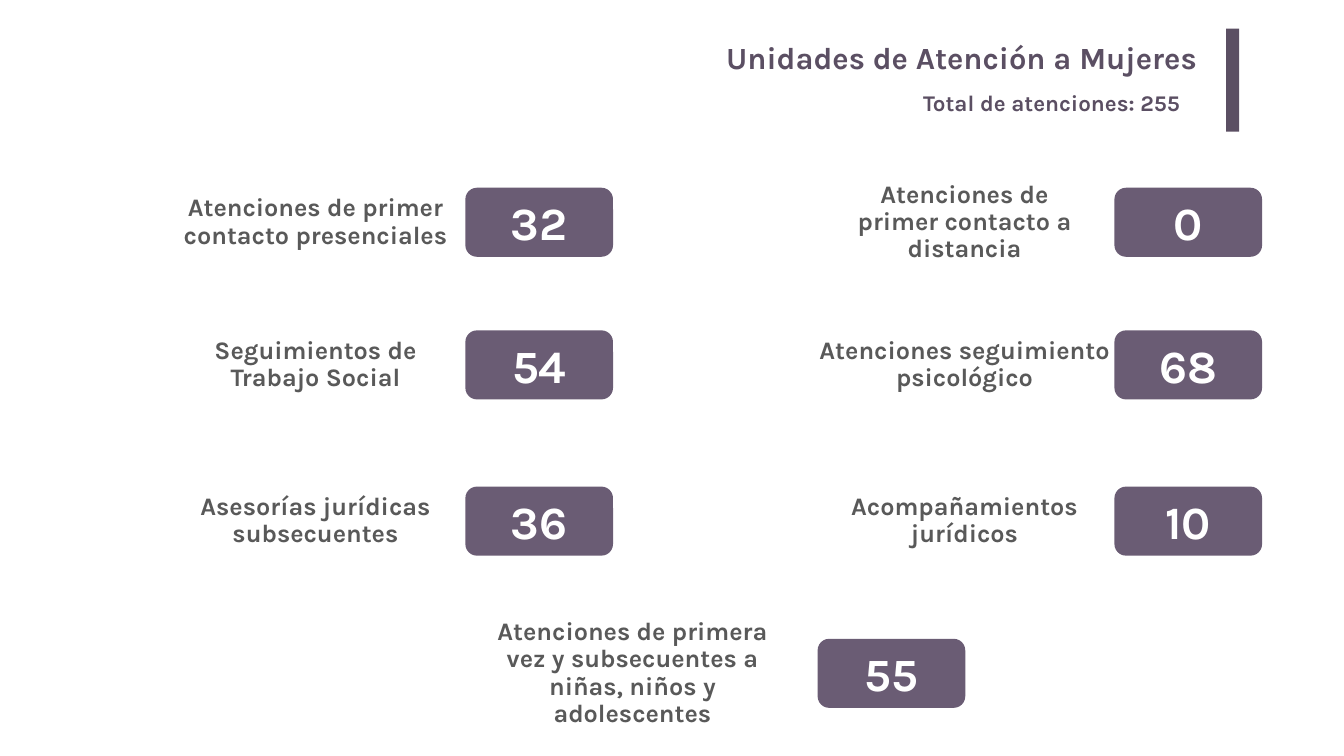
from pptx import Presentation
from pptx import util as u
from pptx.dml.color import RGBColor
from pptx.enum import shapes, text

FONT = "Karla"
PLUM, MAUVE, GRAY, WHITE = "5B4F63", "6A5C74", "595959", "FFFFFF"
BADGE_W, BADGE_H = 2.93, 1.37
LABEL_TO_BADGE = 4.44
LEFT, RIGHT, MIDDLE = 6.26, 19.14, 12.55
ROWS = [4.41, 7.24, 10.34, 13.36]

INDICATORS = [
    (LEFT, 0, "Atenciones de primer contacto presenciales", "32", 5.48, 1.37),
    (RIGHT, 0, "Atenciones de primer contacto a distancia", "0", 5.16, 1.21),
    (LEFT, 1, "Seguimientos de Trabajo Social", "54", 5.58, 1.41),
    (RIGHT, 1, "Atenciones seguimiento psicológico", "68", 7.81, 0.53),
    (LEFT, 2, "Asesorías jurídicas subsecuentes", "36", 6.05, 0.8),
    (RIGHT, 2, "Acompañamientos jurídicos", "10", 6.46, 0.64),
    (MIDDLE, 3, "Atenciones de primera vez y subsecuentes a niñas, niños y adolescentes",
     "55", 6, 0.49),
]


def color(hex_string):
    """Turn a hex string into a colour."""
    return RGBColor.from_string(hex_string)


def box(left, top, width, height):
    """Convert a rectangle in inches to lengths."""
    return [u.Inches(value) for value in (left, top, width, height)]


def centered(x, y, width, height):
    """Return the rectangle of a given size around a centre point."""
    return box(x - width / 2, y - height / 2, width, height)


def write(shape, words, size, hex_string, align, anchor=text.MSO_ANCHOR.MIDDLE):
    """Put one bold paragraph into a shape and return it."""
    frame = shape.text_frame
    frame.text = words
    frame.word_wrap = True
    frame.auto_size = text.MSO_AUTO_SIZE.NONE
    frame.vertical_anchor = anchor
    paragraph = frame.paragraphs[0]
    paragraph.alignment = align
    font = paragraph.runs[0].font
    font.name, font.size, font.bold = FONT, u.Pt(size), True
    font.color.rgb = color(hex_string)
    return paragraph


def add_block(slide, kind, bounds, fill):
    """Add a plain filled shape without outline or shadow."""
    block = slide.shapes.add_shape(kind, *bounds)
    block.shadow.inherit = False
    block.fill.solid()
    block.fill.fore_color.rgb = color(fill)
    block.line.fill.background()
    return block


def add_heading(slide):
    """Fill the title, the total beneath it and the bar at their right."""
    title = slide.shapes.title
    title.left, title.top, title.width, title.height = box(3.66, 0.67, 20.3, 1.02)
    write(title, "Unidades de Atención a Mujeres", 44, PLUM,
          text.PP_ALIGN.RIGHT, text.MSO_ANCHOR.TOP)
    frame = title.text_frame
    frame.margin_left = frame.margin_right = u.Inches(0.2)
    frame.margin_top = frame.margin_bottom = u.Inches(0.1)
    total = slide.shapes.add_textbox(*box(18.22, 1.71, 5.92, 0.64))
    write(total, "Total de atenciones: 255", 32, PLUM,
          text.PP_ALIGN.LEFT, text.MSO_ANCHOR.TOP)
    add_block(slide, shapes.MSO_SHAPE.RECTANGLE, box(24.33, 0.57, 0.26, 2.04), PLUM)


def add_indicator(slide, x, row, name, count, width, height):
    """Add a label and the badge with its count."""
    y = ROWS[row]
    label = slide.shapes.add_textbox(*centered(x, y, width, height))
    write(label, name, 36, GRAY, text.PP_ALIGN.CENTER).line_spacing = 0.9
    badge_x = x + LABEL_TO_BADGE + (0.7 if x == MIDDLE else 0)
    badge = add_block(slide, shapes.MSO_SHAPE.ROUNDED_RECTANGLE,
                      centered(badge_x, y, BADGE_W, BADGE_H), MAUVE)
    write(badge, count, 66, WHITE, text.PP_ALIGN.CENTER)


def main():
    """Build the slide and save it."""
    deck = Presentation()
    deck.slide_width, deck.slide_height = u.Inches(26.67), u.Inches(15)
    slide = deck.slides.add_slide(deck.slide_layouts[5])
    add_heading(slide)
    for indicator in INDICATORS:
        add_indicator(slide, *indicator)
    deck.save("out.pptx")


if __name__ == "__main__":
    main()
